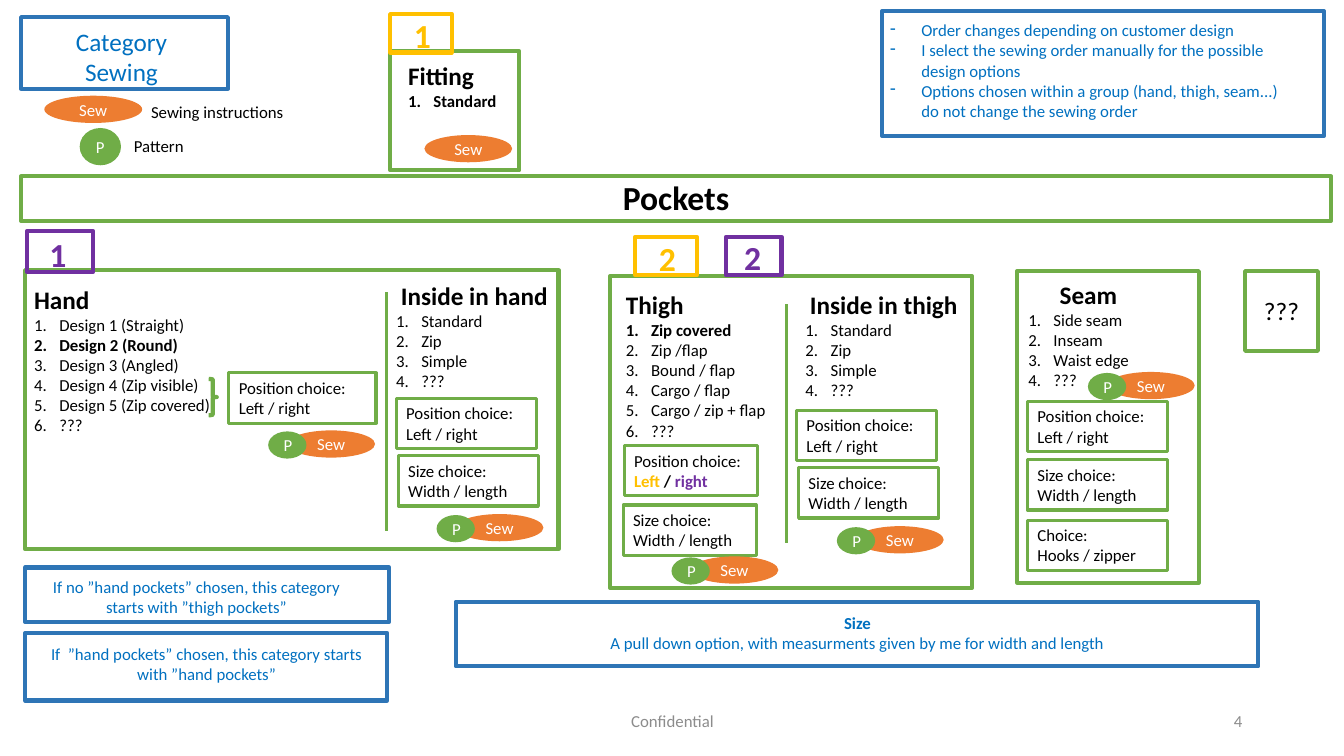
import pptx
import pptx.dml.color
import pptx.enum.shapes
import pptx.enum.text
import pptx.oxml.ns
import pptx.util
from lxml import etree

Inches, Pt = pptx.util.Inches, pptx.util.Pt
RGBColor = pptx.dml.color.RGBColor
PRESET = pptx.enum.shapes.MSO_SHAPE
ALIGN = pptx.enum.text.PP_ALIGN
ANCHOR = pptx.enum.text.MSO_ANCHOR
AUTO_SIZE = pptx.enum.text.MSO_AUTO_SIZE
qn = pptx.oxml.ns.qn

BLACK = RGBColor(0x00, 0x00, 0x00)
WHITE = RGBColor(0xFF, 0xFF, 0xFF)
GREEN = RGBColor(0x70, 0xAD, 0x47)
ORANGE = RGBColor(0xED, 0x7D, 0x31)
NOTE_BORDER = RGBColor(0x2E, 0x75, 0xB6)
NOTE_TEXT = RGBColor(0x00, 0x70, 0xC0)
YELLOW = RGBColor(0xFF, 0xC0, 0x00)
PURPLE = RGBColor(0x70, 0x30, 0xA0)
GREY = RGBColor(0x8C, 0x8C, 0x8C)

BODY = {"name": "Calibri", "size": Pt(12), "bold": False}
STRONG = BODY | {"bold": True}
LARGE = BODY | {"size": Pt(18)}
HEADING = LARGE | {"bold": True}
BANNER = STRONG | {"size": Pt(24)}
NUMBER = ("a:buAutoNum", {"type": "arabicPeriod"}, 0.25)
DASH = ("a:buChar", {"char": "-"}, 0.31)
POSITION = (("Position choice:", BODY), ("Left / right", BODY))
SIZE = (("Size choice:", BODY), ("Width / length", BODY))

def inches(box):
    """Convert a box to lengths."""
    return [Inches(length) for length in box]

def within(box, dx, dy, width, height):
    """Return a box placed relative to the corner of another one."""
    return box[0] + dx, box[1] + dy, width, height

def write(frame, lines, color=BLACK, align=ALIGN.LEFT):
    """Fill a text frame with lines of (runs, format, marker, alignment)."""
    for index, line in enumerate(lines):
        runs, font_format, marker, own_align = (*line, None, None)[:4]
        paragraph = frame.paragraphs[0] if index == 0 else frame.add_paragraph()
        paragraph.alignment = own_align or align
        if marker:
            tag_name, attributes, indent = marker
            properties = paragraph._p.get_or_add_pPr()
            properties.set("marL", str(Inches(indent)))
            properties.set("indent", str(-Inches(indent)))
            etree.SubElement(properties, qn(tag_name), attributes)
        for words, run_color in [(runs, color)] if isinstance(runs, str) else runs:
            run = paragraph.add_run()
            run.text = words
            for attribute, value in font_format.items():
                setattr(run.font, attribute, value)
            run.font.color.rgb = run_color

def label(shapes, box, lines, color=BLACK, align=ALIGN.LEFT):
    """Add a wrapping text box that grows with its text."""
    frame = shapes.add_textbox(*inches(box)).text_frame
    frame.word_wrap, frame.auto_size = True, AUTO_SIZE.SHAPE_TO_FIT_TEXT
    write(frame, lines, color, align)
    return frame

def outline(shapes, box, color=GREEN, preset=PRESET.FLOWCHART_PROCESS, width=3):
    """Add an unfilled shape with a coloured border."""
    border = shapes.add_shape(preset, *inches(box))
    border.shadow.inherit = False
    border.fill.background()
    border.line.color.rgb = color
    border.line.width = Pt(width)
    return border

def framed(slide, box, text_box, lines, border, color=BLACK):
    """Group a border with text offset from its corner."""
    shapes = slide.shapes.add_group_shape().shapes
    outline(shapes, box, border)
    label(shapes, within(box, *text_box), lines, color, ALIGN.CENTER)

def choice(shapes, box, lines):
    """Add a choice box with a question and its answers."""
    frame = outline(shapes, box, preset=PRESET.RECTANGLE, width=2.25).text_frame
    frame.word_wrap, frame.auto_size = True, AUTO_SIZE.SHAPE_TO_FIT_TEXT
    frame.vertical_anchor = ANCHOR.TOP
    write(frame, lines)

def tag(shapes, box, words, color):
    """Add a filled oval tag."""
    oval = shapes.add_shape(PRESET.OVAL, *inches(box))
    oval.shadow.inherit = False
    oval.fill.solid()
    oval.fill.fore_color.rgb = color
    oval.line.fill.background()
    oval.text_frame.vertical_anchor = ANCHOR.MIDDLE
    write(oval.text_frame, [(words, BODY)], WHITE, ALIGN.CENTER)

def sew_and_pattern(shapes, box, dx, dy):
    """Add a sewing tag overlapped by a pattern tag."""
    tag(shapes, within(box, dx, dy, 0.87, 0.27), "Sew", ORANGE)
    tag(shapes, within(box, dx - 0.19, dy + 0.01, 0.38, 0.27), "P", GREEN)

def options(shapes, box, title, names, chosen="", align=ALIGN.LEFT):
    """Add a heading above a numbered list of options."""
    items = [(name, STRONG if name == chosen else BODY, NUMBER) for name in names]
    label(shapes, box, [(title, HEADING, None, align), *items])

def inside_column(shapes, box, title, title_dx, title_dy):
    """Draw the inside pocket options to the right of a dividing rule."""
    left, top, _, height = box
    options(shapes, within(box, title_dx, title_dy, 1.75, 1.21), title,
            ("Standard", "Zip", "Simple", "???"), align=ALIGN.CENTER)
    choice(shapes, within(box, 0.1, 1.05, 1.39, 0.5), POSITION)
    choice(shapes, within(box, 0.12, 1.62, 1.39, 0.5), SIZE)
    sew_and_pattern(shapes, box, 0.69, 2.2)
    rule = shapes.add_connector(pptx.enum.shapes.MSO_CONNECTOR.STRAIGHT,
                                *inches((left, top, left, top + height)))
    rule.line.color.rgb = GREEN
    rule.line.width = Pt(2.25)
    etree.SubElement(rule._element.spPr, qn("a:effectLst"))

def hand_panel(slide, box):
    """Draw the hand pocket panel."""
    shapes = slide.shapes.add_group_shape().shapes
    outline(shapes, box)
    designs = ("Design 1 (Straight)", "Design 2 (Round)", "Design 3 (Angled)",
               "Design 4 (Zip visible)", "Design 5 (Zip covered)", "???")
    options(shapes, within(box, -0.01, 0.09, 2.86, 1.64), "Hand", designs, designs[1])
    outline(shapes, within(box, 1.82, 1.08, 0.08, 0.36), preset=PRESET.RIGHT_BRACE)
    choice(shapes, within(box, 2.02, 1.02, 1.46, 0.5), POSITION)
    sew_and_pattern(shapes, box, 2.6, 1.59)
    inside_column(shapes, within(box, 3.58, 0.22, 1.7, 2.37), "Inside in hand", 0, -0.17)

def thigh_panel(slide, box):
    """Draw the thigh pocket panel."""
    shapes = slide.shapes.add_group_shape().shapes
    outline(shapes, box)
    names = ("Zip covered", "Zip /flap", "Bound / flap", "Cargo / flap", "Cargo / zip + flap", "???")
    sides = [("Left", YELLOW), (" / ", BLACK), ("right", PURPLE)]
    options(shapes, within(box, 0.06, 0.08, 1.8, 1.62), "Thigh", names, names[0])
    choice(shapes, within(box, 0.14, 1.68, 1.32, 0.5), (POSITION[0], (sides, STRONG)))
    choice(shapes, within(box, 0.13, 2.27, 1.32, 0.5), SIZE)
    sew_and_pattern(shapes, box, 0.8, 2.78)
    inside_column(shapes, within(box, 1.75, 0.28, 1.7, 2.37), "Inside in thigh", 0.09, -0.2)

def seam_panel(slide, box):
    """Draw the seam panel."""
    shapes = slide.shapes.add_group_shape().shapes
    outline(shapes, box)
    options(shapes, within(box, 0.01, 0.03, 1.39, 1.21), "Seam",
            ("Side seam", "Inseam", "Waist edge", "???"), align=ALIGN.CENTER)
    fastening = (("Choice:", BODY), ("Hooks / zipper", BODY))
    for dy, lines in ((1.29, POSITION), (1.87, SIZE), (2.47, fastening)):
        choice(shapes, within(box, 0.1, dy, 1.39, 0.5), lines)
    sew_and_pattern(shapes, box, 0.89, 1)

def fitting_panel(slide, box):
    """Draw the fitting panel."""
    shapes = slide.shapes.add_group_shape().shapes
    outline(shapes, box)
    options(shapes, within(box, 0.08, 0.04, 1.28, 0.61), "Fitting", ["Standard"], "Standard")
    tag(shapes, within(box, 0.34, 0.83, 0.87, 0.27), "Sew", ORANGE)

def legend(slide, box):
    """Explain the two kinds of tag."""
    shapes = slide.shapes.add_group_shape().shapes
    tag(shapes, within(box, 0, 0, 0.97, 0.27), "Sew", ORANGE)
    label(shapes, within(box, 0.96, 0.01, 1.64, 0.23), [("Sewing instructions", BODY)])
    tag(shapes, within(box, 0.35, 0.32, 0.41, 0.37), "P", GREEN)
    label(shapes, within(box, 0.79, 0.35, 0.79, 0.3), [("Pattern", BODY)])

def notes(slide):
    """Draw the blue notes."""
    remarks = ("Order changes depending on customer design",
               "I select the sewing order manually for the possible design options",
               "Options chosen within a group (hand, thigh, seam...) do not change the sewing order")
    for box, text_box, lines in (
        ((8.75, 0.11, 4.38, 1.24), (-0.02, 0.04, 4.24, 1.24), [(text, BODY, DASH, ALIGN.LEFT) for text in remarks]),
        ((0.21, 0.17, 2.05, 0.71), (0, 0.04, 1.99, 0.71), [("Category", LARGE), ("Sewing", LARGE)]),
        ((0.25, 5.63, 3.61, 0.54), (0.03, 0.04, 3.34, 0.34),
         [("If no ”hand pockets” chosen, this category starts with ”thigh pockets”", BODY)]),
        ((0.25, 6.28, 3.59, 0.67), (0.1, 0.06, 3.4, 0.39),
         [("If  ”hand pockets” chosen, this category starts with ”hand pockets”", BODY)]),
        ((4.52, 5.97, 7.96, 0.64), (0.22, 0.06, 7.53, 0.29), [("Size", STRONG),
         ("A pull down option, with measurments given by me for width and length", BODY)]),
    ):
        framed(slide, box, text_box, lines, NOTE_BORDER, NOTE_TEXT)

def order_badges(slide):
    """Draw the numbers that show the sewing order."""
    for box, text_box, number, color in (
        ((6.3, 2.35, 0.61, 0.38), (0.02, -0.04, 0.6, 0.5), "2", YELLOW),
        ((7.2, 2.35, 0.55, 0.38), (0, -0.05, 0.53, 0.34), "2", PURPLE),
        ((0.27, 2.29, 0.65, 0.41), (-0.01, -0.02, 0.63, 0.47), "1", PURPLE),
        ((3.87, 0.14, 0.61, 0.38), (0.02, -0.04, 0.6, 0.5), "1", YELLOW),
    ):
        framed(slide, box, text_box, [(number, BANNER)], color, color)

def footer(slide, box):
    """Add the confidentiality mark and the page number."""
    for dx, width, words, align in ((0, 4.5, "Confidential", ALIGN.CENTER), (5, 3, "4", ALIGN.RIGHT)):
        frame = label(slide.shapes, within(box, dx, 0, width, box[3]), [(words, BODY)], GREY, align)
        frame.auto_size, frame.vertical_anchor = AUTO_SIZE.NONE, ANCHOR.MIDDLE

deck = pptx.Presentation()
deck.slide_width, deck.slide_height = Inches(13.33), Inches(7.5)
page = deck.slides.add_slide(deck.slide_layouts[6])
framed(page, (0.21, 1.75, 12.99, 0.44), (3.61, -0.04, 5.77, 0.23), [("Pockets", BANNER)], GREEN)
framed(page, (12.35, 2.69, 0.72, 0.79), (0.08, 0.19, 0.56, 0.4), [("???", LARGE)], GREEN)
for draw, region in ((seam_panel, (10.09, 2.69, 1.8, 3.09)), (footer, (4.42, 6.95, 8, 0.4)),
                     (legend, (0.44, 0.95, 2.6, 0.69)), (hand_panel, (0.25, 2.68, 5.29, 2.77)),
                     (thigh_panel, (6.05, 2.74, 3.59, 3.09)), (fitting_panel, (3.87, 0.51, 1.28, 1.18))):
    draw(page, region)
notes(page)
order_badges(page)
deck.save("out.pptx")
